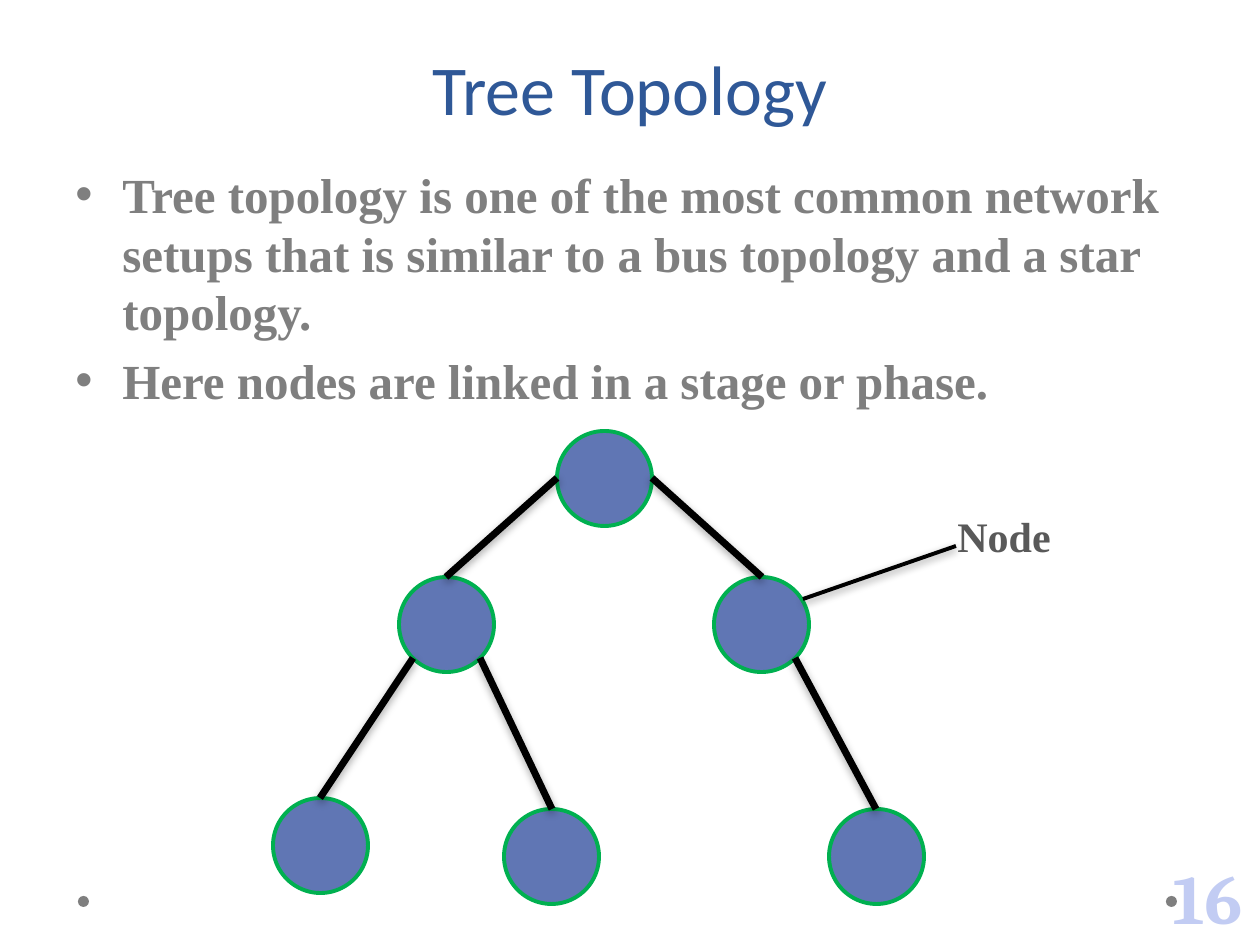
"""Build the Tree Topology slide."""
from lxml import etree
from pptx import Presentation
from pptx.dml.color import RGBColor
from pptx.enum.shapes import MSO_CONNECTOR, MSO_SHAPE
from pptx.enum.text import MSO_ANCHOR, PP_ALIGN
from pptx.oxml.ns import qn
from pptx.util import Pt

STRAIGHT = MSO_CONNECTOR.STRAIGHT
OVAL = MSO_SHAPE.OVAL
BOTTOM = MSO_ANCHOR.BOTTOM
LEFT, CENTER = PP_ALIGN.LEFT, PP_ALIGN.CENTER

NAVY = RGBColor(0x2F, 0x58, 0x97)
GRAY = RGBColor(0x7F, 0x7F, 0x7F)
DARK_GRAY = RGBColor(0x59, 0x59, 0x59)
BLUE = RGBColor(0x60, 0x76, 0xB4)
GREEN = RGBColor(0x00, 0xB0, 0x50)
BLACK = RGBColor(0x00, 0x00, 0x00)
PALE_BLUE = RGBColor(0xC2, 0xCC, 0xF3)

PX_PER_INCH = 126
NODE_SIZE = 95
DIAGONAL = 0.85
SITES = {
    "top": (0.5, 0), "left": (0, 0.5), "right": (1, 0.5),
    "bottom left": (1 - DIAGONAL, DIAGONAL),
    "bottom right": (DIAGONAL, DIAGONAL),
}
NODES = {
    "root": (557, 431),
    "left branch": (399, 577), "right branch": (714, 577),
    "first leaf": (273, 798), "second leaf": (504, 809), "third leaf": (829, 809),
}
EDGES = [
    ("root", "right", "right branch"),
    ("root", "left", "left branch"),
    ("left branch", "bottom left", "first leaf"),
    ("left branch", "bottom right", "second leaf"),
    ("right branch", "bottom right", "third leaf"),
]
POINTS = [
    "Tree topology is one of the most common network setups that is similar "
    "to a bus topology and a star topology.",
    "Here nodes are linked in a stage or phase.",
]


def emu(px):
    """Convert px to EMU."""
    return round(px * 914400 / PX_PER_INCH)


def site(node, side):
    """Return the point where a line meets a node."""
    return tuple(round(start + NODE_SIZE * part)
                 for start, part in zip(NODES[node], SITES[side]))


class SlideBuilder:
    """Draw styled elements on the current slide."""

    def __init__(self, deck):
        self.slide = deck.slides.add_slide(deck.slide_layouts[5])

    def add_text(self, paragraph, text, font, size, color, bold=True):
        run = paragraph.add_run()
        run.text = text
        run.font.name = font
        run.font.size = Pt(size)
        run.font.bold = bold
        run.font.color.rgb = color

    def title(self, text, *box):
        heading = self.slide.shapes.title
        heading.left, heading.top, heading.width, heading.height = map(emu, box)
        heading.text_frame.vertical_anchor = BOTTOM
        paragraph = heading.text_frame.paragraphs[0]
        paragraph.alignment = CENTER
        paragraph.line_spacing = 1.45
        self.add_text(paragraph, text, "Calibri", 40, NAVY, bold=False)

    def frame(self, *box):
        frame = self.slide.shapes.add_textbox(*map(emu, box)).text_frame
        frame.word_wrap = True
        return frame

    def label(self, text, box, font, size, color, align=LEFT):
        paragraph = self.frame(*box).paragraphs[0]
        paragraph.alignment = align
        self.add_text(paragraph, text, font, size, color)

    def bullets(self, points, *box):
        frame = self.frame(*box)
        for index, point in enumerate(points):
            paragraph = frame.add_paragraph() if index else frame.paragraphs[0]
            properties = paragraph._p.get_or_add_pPr()
            properties.set("marL", str(emu(47)))
            properties.set("indent", str(-emu(47)))
            bullet_color = etree.SubElement(properties, qn("a:buClr"))
            etree.SubElement(bullet_color, qn("a:srgbClr"), val=str(GRAY))
            etree.SubElement(properties, qn("a:buFont"), typeface="Arial")
            etree.SubElement(properties, qn("a:buChar"), char="•")
            if index:
                paragraph.space_before = Pt(5.6)
            self.add_text(paragraph, point, "Times New Roman", 28, GRAY)

    def circle(self, left, top, size, fill, outline=None):
        circle = self.slide.shapes.add_shape(OVAL, *map(emu, (left, top, size, size)))
        circle.shadow.inherit = False
        circle.fill.solid()
        circle.fill.fore_color.rgb = fill
        if outline is None:
            circle.line.fill.background()
        else:
            circle.line.color.rgb = outline
            circle.line.width = Pt(2.25)

    def line(self, start, end, width, opacity, distance):
        line = self.slide.shapes.add_connector(STRAIGHT, *map(emu, start + end))
        line.line.color.rgb = BLACK
        line.line.width = Pt(width)
        effects = etree.SubElement(line._element.spPr, qn("a:effectLst"))
        shadow = etree.SubElement(
            effects, qn("a:outerShdw"), blurRad=str(Pt(5)),
            dist=str(Pt(distance)), dir="5400000", rotWithShape="0")
        shade = etree.SubElement(shadow, qn("a:srgbClr"), val=str(BLACK))
        etree.SubElement(shade, qn("a:alpha"), val=str(opacity * 1000))


def main():
    """Assemble and save the slide."""
    deck = Presentation()
    deck.slide_width, deck.slide_height = emu(1260), emu(945)
    builder = SlideBuilder(deck)
    for dot_left in (1166, 78):
        builder.circle(dot_left, 896, 11, GRAY)
    builder.title("Tree Topology", 63, 0, 1134, 136)
    builder.bullets(POINTS, 63, 158, 1134, 687)
    for left, top in NODES.values():
        builder.circle(left, top, NODE_SIZE, BLUE, GREEN)
    for parent, side, child in EDGES:
        builder.line(site(parent, side), site(child, "top"), 4, 35, 1.8)
    builder.label("16", (1155, 848, 105, 97), "Cambria", 40, PALE_BLUE, CENTER)
    builder.line((803, 599), (956, 546), 2.25, 38, 1.6)
    builder.label("Node", (945, 504, 126, 64), "Times New Roman", 24, DARK_GRAY)
    deck.save("out.pptx")


if __name__ == "__main__":
    main()
